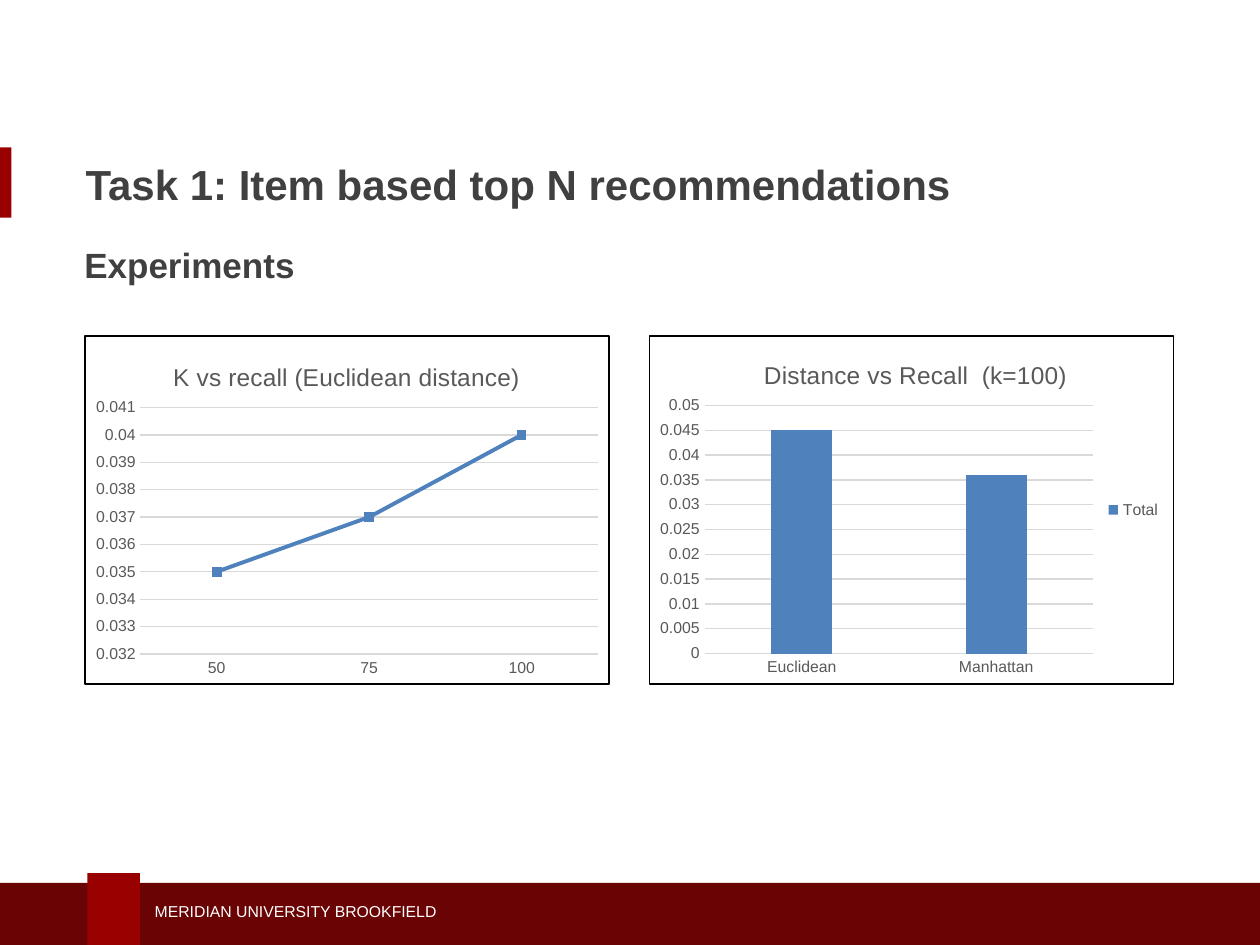
from pptx import Presentation
from pptx.chart.data import CategoryChartData
from pptx.dml.color import RGBColor
from pptx.enum.chart import XL_CHART_TYPE, XL_LEGEND_POSITION, XL_TICK_MARK
from pptx.enum.shapes import MSO_SHAPE
from pptx.enum.text import MSO_ANCHOR, MSO_AUTO_SIZE, PP_ALIGN
from pptx.oxml import parse_xml
from pptx.oxml.ns import nsdecls, qn
from pptx.util import Cm, Pt

LINE, COLUMN = XL_CHART_TYPE.LINE, XL_CHART_TYPE.COLUMN_CLUSTERED
LEGEND_RIGHT = XL_LEGEND_POSITION.RIGHT
NO_TICK = XL_TICK_MARK.NONE
RECTANGLE = MSO_SHAPE.RECTANGLE
MIDDLE, TOP = MSO_ANCHOR.MIDDLE, MSO_ANCHOR.TOP
LEFT = PP_ALIGN.LEFT
NO_AUTOFIT = MSO_AUTO_SIZE.NONE

CRIMSON, DARK_RED, WHITE = "990000", "690304", "FFFFFF"
TEXT_GREY, CHART_GREY, GRID_GREY, BLUE = "404041", "595959", "D9D9D9", "4F81BD"


def color(value):
    return RGBColor.from_string(value)


def format_font(font, size, text_color, bold=False):
    values = {"name": "Arial", "size": Pt(size), "bold": bold}
    for name, value in values.items():
        setattr(font, name, value)
    font.color.rgb = color(text_color)


def format_line(line, line_color, width):
    line.color.rgb = color(line_color)
    line.width = Pt(width)


def fill_text(shape, text, size, text_color, bold=False, anchor=MIDDLE):
    frame = shape.text_frame
    values = {"word_wrap": True, "auto_size": NO_AUTOFIT, "vertical_anchor": anchor}
    for name, value in values.items():
        setattr(frame, name, value)
    paragraph = frame.paragraphs[0]
    paragraph.alignment = LEFT
    run = paragraph.add_run()
    run.text = text
    format_font(run.font, size, text_color, bold)


def add_rectangle(slide, left, top, width, height, fill):
    shape = slide.shapes.add_shape(RECTANGLE, Cm(left), Cm(top), Cm(width), Cm(height))
    shape.fill.solid()
    shape.fill.fore_color.rgb = color(fill)
    shape.line.fill.background()
    shape.shadow.inherit = False


def add_text(slide, left, top, width, height, *text_format, **options):
    shape = slide.shapes.add_textbox(Cm(left), Cm(top), Cm(width), Cm(height))
    fill_text(shape, *text_format, **options)


def set_layout(element, index, **fractions):
    """Place a chart part by fractions of the chart's size."""
    for old in element.findall(qn("c:layout")):
        element.remove(old)
    target = '<c:layoutTarget val="inner"/>' if "w" in fractions else ""
    modes = '<c:xMode val="edge"/><c:yMode val="edge"/>'
    sizes = "".join(f'<c:{name} val="{value}"/>' for name, value in fractions.items())
    element.insert(index, parse_xml(
        f'<c:layout {nsdecls("c")}><c:manualLayout>{target}{modes}{sizes}'
        "</c:manualLayout></c:layout>"))


def add_heading(slide, left, top, width):
    # Red tab at the slide's edge
    add_rectangle(slide, 0, top + 0.15, 0.23, 1.42, CRIMSON)
    # Title
    title = slide.shapes.title
    box = {"left": left, "top": top, "width": width, "height": 1.78}
    for name, value in box.items():
        setattr(title, name, Cm(value))
    fill_text(title, "Task 1: Item based top N recommendations", 24, TEXT_GREY, bold=True)
    # Subheading
    add_text(slide, left - 0.02, top + 1.96, width, 1.1,
             "Experiments", 20, TEXT_GREY, bold=True, anchor=TOP)


def add_footer(slide, top, width, height):
    add_rectangle(slide, 0, top, width, height, DARK_RED)
    add_rectangle(slide, 1.76, top - 0.2, 1.06, height + 0.2, CRIMSON)
    add_text(slide, 2.87, top + 0.25, 10.03, 0.64,
             "MERIDIAN UNIVERSITY BROOKFIELD", 9, WHITE)


def add_recall_chart(slide, left, top, width, height, kind, title, name, points,
                     scale, title_place, plot_place):
    data = CategoryChartData()
    data.categories = list(points)
    data.add_series(name, list(points.values()))
    chart = slide.shapes.add_chart(
        kind, Cm(left), Cm(top), Cm(width), Cm(height), data).chart
    format_font(chart.font, 10, "000000")
    chart.has_legend = False

    # Title and plot area
    chart.has_title = True
    frame = chart.chart_title.text_frame
    frame.text = title
    format_font(frame.paragraphs[0].runs[0].font, 14, CHART_GREY)
    chart.chart_title.include_in_layout = False
    set_layout(chart.chart_title._element, 1, **title_place)
    chart_space = chart._chartSpace
    set_layout(chart_space.chart.plotArea, 0, **plot_place)

    # Axes
    for axis in (chart.category_axis, chart.value_axis):
        axis.major_tick_mark = axis.minor_tick_mark = NO_TICK
        format_font(axis.tick_labels.font, 9, CHART_GREY)
    format_line(chart.category_axis.format.line, GRID_GREY, 0.75)
    value_axis = chart.value_axis
    for attribute, value in scale.items():
        setattr(value_axis, attribute, value)
    value_axis.has_major_gridlines = True
    format_line(value_axis.major_gridlines.format.line, GRID_GREY, 0.75)
    value_axis.format.line.fill.background()
    value_axis.tick_labels.number_format = "General"
    value_axis.tick_labels.number_format_is_linked = False

    # Border around the whole chart
    chart_space.chart.addnext(parse_xml(
        f'<c:spPr {nsdecls("c", "a")}><a:noFill/><a:ln w="9525"><a:solidFill>'
        '<a:srgbClr val="000000"/></a:solidFill></a:ln></c:spPr>'))
    chart.plots[0].vary_by_categories = False
    return chart


def add_charts(slide, left, top, width, height, gap):
    # Recall by number of neighbours
    line_chart = add_recall_chart(
        slide, left, top, width, height, LINE,
        "K vs recall (Euclidean distance)", "Series 1",
        {"50": 0.035, "75": 0.037, "100": 0.04},
        {"minimum_scale": 0.032, "maximum_scale": 0.041, "major_unit": 0.001},
        {"x": 0.16, "y": 0.06}, {"x": 0.106, "y": 0.206, "w": 0.873, "h": 0.708})
    series = line_chart.plots[0].series[0]
    series.smooth = False
    series.marker.style = None
    format_line(series.format.line, BLUE, 2.25)

    # Recall by distance measure
    column_chart = add_recall_chart(
        slide, left + width + gap, top, width, height, COLUMN,
        "Distance vs Recall  (k=100)", "Total",
        {"Euclidean": 0.045, "Manhattan": 0.036},
        {"minimum_scale": 0, "maximum_scale": 0.05, "major_unit": 0.005},
        {"x": 0.21, "y": 0.055}, {"x": 0.105, "y": 0.2, "w": 0.742, "h": 0.713})
    plot = column_chart.plots[0]
    plot.gap_width, plot.overlap = 219, -27
    fill = plot.series[0].format.fill
    fill.solid()
    fill.fore_color.rgb = color(BLUE)
    column_chart.has_legend = True
    legend = column_chart.legend
    legend.position = LEGEND_RIGHT
    legend.include_in_layout = False
    format_font(legend.font, 9, CHART_GREY)


def main():
    presentation = Presentation()
    presentation.slide_width, presentation.slide_height = Cm(25.4), Cm(19.05)
    slide = presentation.slides.add_slide(presentation.slide_layouts[5])
    add_footer(slide, 17.8, 25.4, 1.25)
    add_heading(slide, 1.47, 2.82, 22.23)
    add_charts(slide, 1.7, 6.76, 10.59, 7.04, 0.79)
    presentation.save("out.pptx")


if __name__ == "__main__":
    main()
